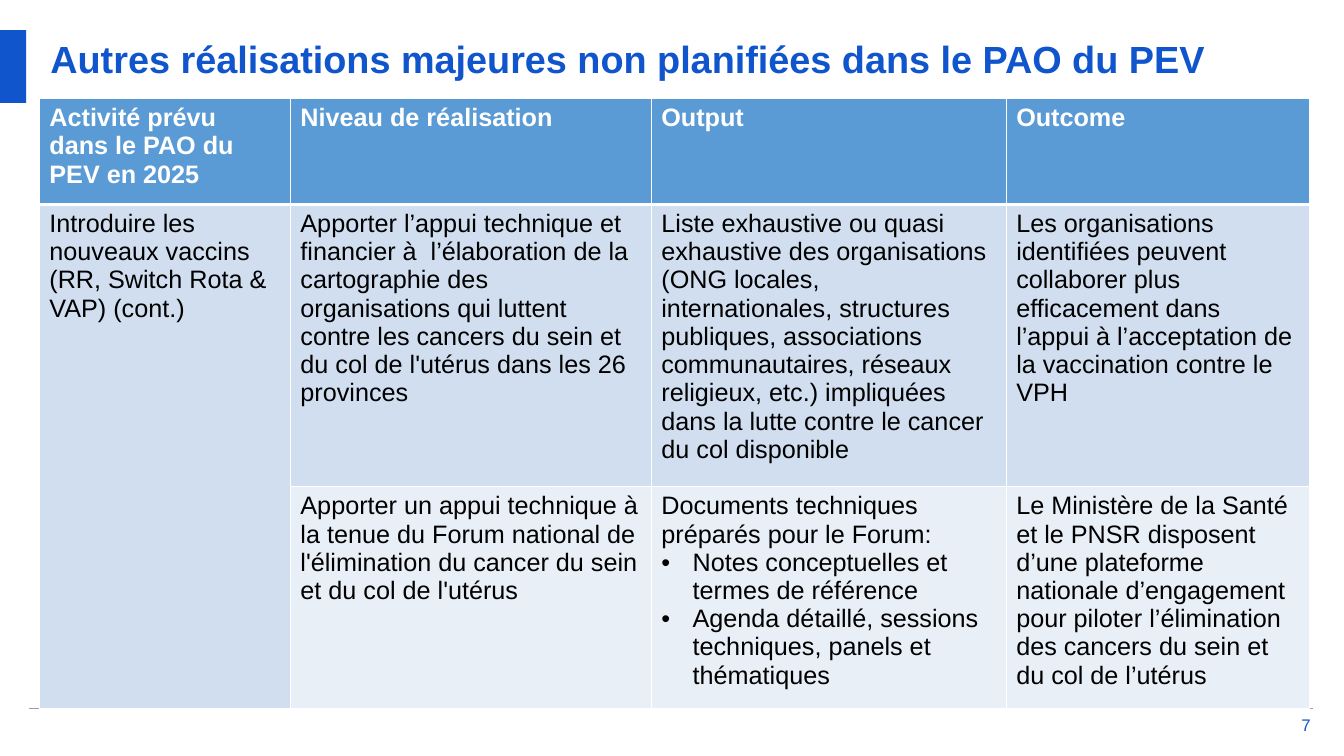
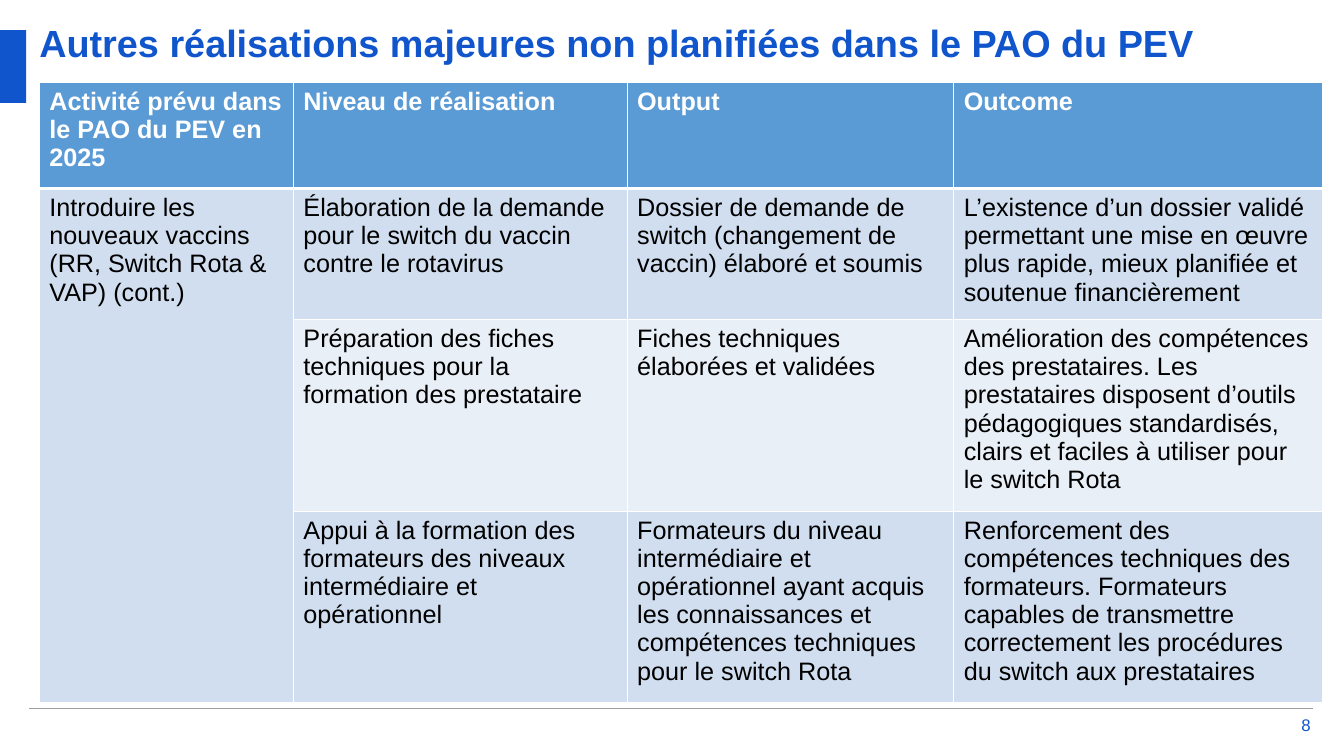
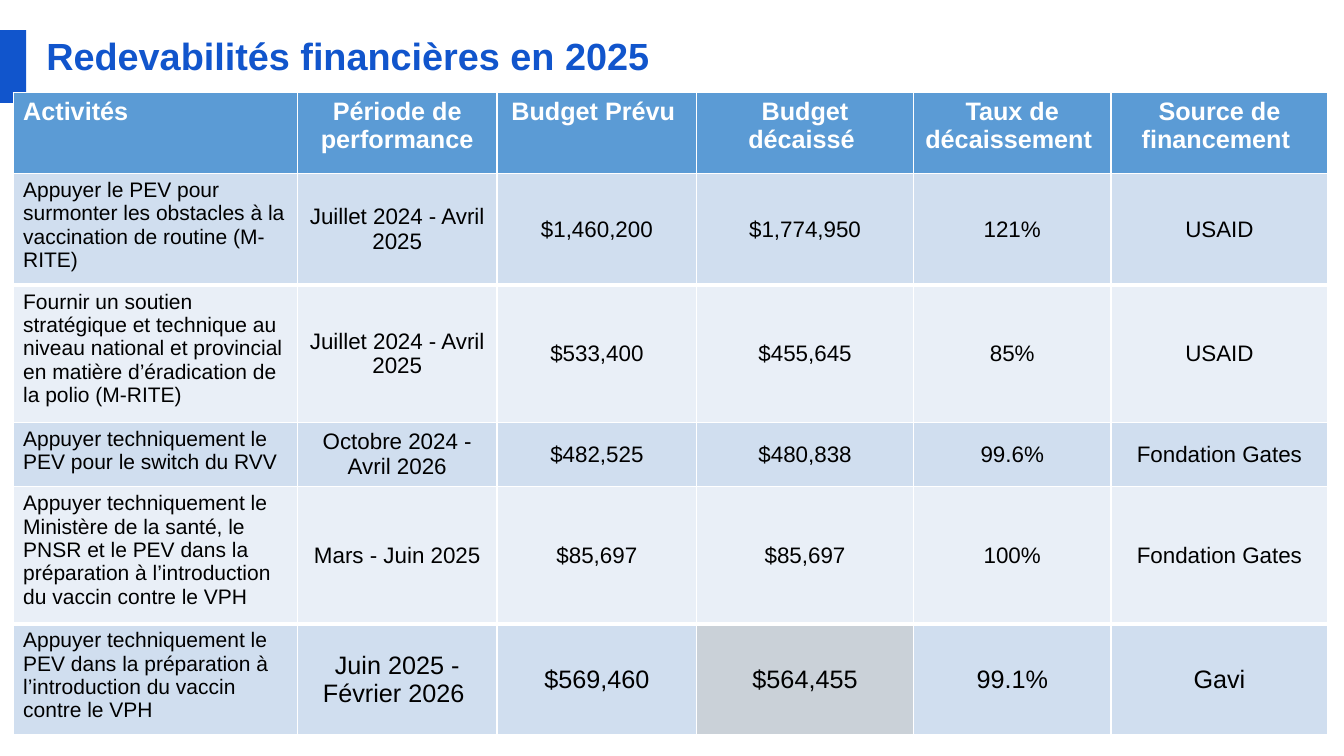
from lxml import etree
from pptx import Presentation
from pptx import util as u
from pptx.dml.color import RGBColor
from pptx.enum import shapes, text
from pptx.oxml import ns

PX = 9144  # 100 px to the inch
FONT = "Arial"
COLORS = {
    "accent": "1155CC",
    "rule": "9E9E9E",
    "header": "5B9BD5",
    "odd": "D0DEEF",
    "even": "E9EFF7",
    "flagged": "CAD1D8",
    "white": "FFFFFF",
    "black": "000000",
}
BULLET = "•"
INDENT = 31
TITLE_UNPLANNED = "Autres réalisations majeures non planifiées dans le PAO du PEV"
RESULT_HEADER = ["Activité prévu dans le PAO du PEV en 2025", "Niveau de réalisation",
                 "Output", "Outcome"]
ACTIVITY = "Introduire les nouveaux vaccins (RR, Switch Rota & VAP) (cont.)"

FORUM_ROWS = [
    ["Apporter l’appui technique et financier à  l’élaboration de la cartographie des "
     "organisations qui luttent contre les cancers du sein et du col de l'utérus dans les "
     "26 provinces",
     "Liste exhaustive ou quasi exhaustive des organisations (ONG locales, internationales, "
     "structures publiques, associations communautaires, réseaux religieux, etc.) impliquées "
     "dans la lutte contre le cancer du col disponible",
     "Les organisations identifiées peuvent collaborer plus efficacement dans l’appui à "
     "l’acceptation de la vaccination contre le VPH"],
    ["Apporter un appui technique à la tenue du Forum national de l'élimination du cancer du "
     "sein et du col de l'utérus",
     "Documents techniques préparés pour le Forum:\n"
     "•Notes conceptuelles et termes de référence\n"
     "•Agenda détaillé, sessions techniques, panels et thématiques",
     "Le Ministère de la Santé et le PNSR disposent d’une plateforme nationale d’engagement "
     "pour piloter l’élimination des cancers du sein et du col de l’utérus"],
]
SWITCH_ROWS = [
    ["Élaboration de la demande pour le switch du vaccin contre le rotavirus",
     "Dossier de demande de switch (changement de vaccin) élaboré et soumis",
     "L’existence d’un dossier validé permettant une mise en œuvre plus rapide, mieux "
     "planifiée et soutenue financièrement"],
    ["Préparation des fiches techniques pour la formation des prestataire",
     "Fiches techniques élaborées et validées",
     "Amélioration des compétences des prestataires. Les prestataires disposent d’outils "
     "pédagogiques standardisés, clairs et faciles à utiliser pour le switch Rota"],
    ["Appui à la formation des formateurs des niveaux intermédiaire et opérationnel",
     "Formateurs du niveau intermédiaire et opérationnel ayant acquis les connaissances et "
     "compétences techniques pour le switch Rota",
     "Renforcement des compétences techniques des formateurs. Formateurs capables de "
     "transmettre correctement les procédures du switch aux prestataires"],
]
BUDGET_ROWS = [
    ["Activités", "Période de performance", "Budget Prévu ", "Budget décaissé ",
     "Taux de décaissement ", "Source de financement "],
    ["Appuyer le PEV pour surmonter les obstacles à la vaccination de routine (M-RITE)",
     "Juillet 2024 - Avril 2025", "$1,460,200", "$1,774,950", "121%", "USAID"],
    ["Fournir un soutien stratégique et technique au niveau national et provincial en "
     "matière d’éradication de la polio (M-RITE)",
     "Juillet 2024 - Avril 2025", "$533,400", "$455,645", "85%", "USAID"],
    ["Appuyer techniquement le PEV pour le switch du RVV",
     "Octobre 2024 - Avril 2026", "$482,525", "$480,838", "99.6%", "Fondation Gates"],
    ["Appuyer techniquement le Ministère de la santé, le PNSR et le PEV dans la préparation "
     "à l’introduction du vaccin contre le VPH",
     "Mars - Juin 2025", "$85,697", "$85,697", "100%", "Fondation Gates"],
    ["Appuyer techniquement le PEV dans la préparation à l’introduction du vaccin contre le VPH",
     "Juin 2025 - Février 2026 ", "$569,460", "$564,455", "99.1%", "Gavi"],
]


def px(*lengths):
    return [u.Emu(length * PX) for length in lengths]


def rgb(name):
    return RGBColor.from_string(COLORS[name])


def add_span(para, words, size, color, bold=False):
    span = para.add_run()
    span.text = words
    span.font.name = FONT
    span.font.size = u.Pt(size)
    span.font.bold = bold
    span.font.color.rgb = rgb(color)


def add_label(page, box, words, size, bold=False, align=text.PP_ALIGN.LEFT,
              anchor=text.MSO_ANCHOR.TOP):
    frame = page.shapes.add_textbox(*px(*box)).text_frame
    frame.word_wrap = True
    frame.margin_left = frame.margin_top = frame.margin_right = frame.margin_bottom = 0
    frame.vertical_anchor = anchor
    frame.paragraphs[0].alignment = align
    add_span(frame.paragraphs[0], words, size, "accent", bold)


def add_page(deck, title, title_box):
    """Add a blank page with its title and the blue tab on the left edge."""
    page = deck.slides.add_slide(deck.slide_layouts[6])
    add_label(page, title_box, title, 27, bold=True)
    tab = page.shapes.add_shape(shapes.MSO_SHAPE.RECTANGLE, *px(0, 30, 26, 72))
    tab.shadow.inherit = False
    tab.fill.solid()
    tab.fill.fore_color.rgb = rgb("accent")
    tab.line.fill.background()
    return page


def add_footer(page, number):
    add_label(page, (1275, 710, 25, 18), str(number), 12,
              align=text.PP_ALIGN.RIGHT, anchor=text.MSO_ANCHOR.MIDDLE)
    rule = page.shapes.add_connector(shapes.MSO_CONNECTOR.STRAIGHT, *px(29, 703, 1302, 703))
    rule.line.color.rgb = rgb("rule")
    rule.line.width = u.Pt(1)
    etree.SubElement(rule._element.spPr, ns.qn("a:effectLst"))


def set_borders(cell, top, bottom):
    """Draw white cell edges, with the top and bottom widths in points."""
    properties = cell._tc.get_or_add_tcPr()
    for side, width in (("L", 1), ("R", 1), ("T", top), ("B", bottom)):
        edge = etree.SubElement(properties, ns.qn(f"a:ln{side}"), w=str(u.Pt(width)))
        fill = etree.SubElement(edge, ns.qn("a:solidFill"))
        etree.SubElement(fill, ns.qn("a:srgbClr"), val=COLORS["white"])


def set_bullet(para):
    properties = para._p.get_or_add_pPr()
    properties.set("marL", str(INDENT * PX))
    properties.set("indent", str(-INDENT * PX))
    etree.SubElement(properties, ns.qn("a:buFont"), typeface=FONT)
    etree.SubElement(properties, ns.qn("a:buChar"), char=BULLET)


def fill_cell(cell, words, size, is_header, centred):
    for index, line in enumerate(words.split("\n")):
        frame = cell.text_frame
        para = frame.add_paragraph() if index else frame.paragraphs[0]
        if line.startswith(BULLET):
            set_bullet(para)
        if centred:
            para.alignment = text.PP_ALIGN.CENTER
        add_span(para, line.lstrip(BULLET), size, "white" if is_header else "black", is_header)
    if centred and not is_header:
        cell.vertical_anchor = text.MSO_ANCHOR.MIDDLE


def add_grid(page, origin, widths, heights, rows, thick_after, size_of, centred=False,
             merge_first=False):
    """Place a banded table; thick_after lists rows with a heavy lower edge."""
    table = page.shapes.add_table(len(heights), len(widths),
                                  *px(*origin, sum(widths), sum(heights))).table
    table.horz_banding = False
    for column, width in zip(table.columns, widths):
        column.width = px(width)[0]
    for row, height in zip(table.rows, heights):
        row.height = px(height)[0]
    if merge_first:
        table.cell(1, 0).merge(table.cell(len(heights) - 1, 0))
    for r, row in enumerate(rows):
        band = "header" if r == 0 else "odd" if r % 2 else "even"
        for c, words in enumerate(row):
            cell = table.cell(r, c)
            if cell.is_spanned:
                continue
            set_borders(cell, *(3 if edge in thick_after else 1 for edge in (r - 1, r)))
            cell.fill.solid()
            cell.fill.fore_color.rgb = rgb(band)
            fill_cell(cell, words, size_of(r, c), r == 0, centred and c > 0)
    return table


def add_results_page(deck, number, title_box, origin, widths, heights, results):
    page = add_page(deck, TITLE_UNPLANNED, title_box)
    add_footer(page, number)
    rows = [RESULT_HEADER] + [[ACTIVITY] + result for result in results]
    add_grid(page, origin, widths, heights, rows, {0}, lambda r, c: 18, merge_first=True)


def budget_size(r, c):
    if r == 0:
        return 18
    if c == 0:
        return 15
    return 18 if r == len(BUDGET_ROWS) - 1 else 16


def add_budget_page(deck):
    page = add_page(deck, "Redevabilités financières en 2025", (46, 32, 1273, 73))
    table = add_grid(page, (13, 92), [282, 198, 198, 215, 196, 215],
                     [80, 111, 136, 64, 136, 111], BUDGET_ROWS, {1, 4, 5}, budget_size,
                     centred=True)
    table.cell(5, 3).fill.fore_color.rgb = rgb("flagged")


def main():
    deck = Presentation()
    deck.slide_width, deck.slide_height = px(1333, 750)
    add_results_page(deck, 7, (50, 35, 1233, 80), (39, 98), [249, 358, 352, 301],
                     [105, 262, 205], FORUM_ROWS)
    add_results_page(deck, 8, (39, 20, 1233, 48), (39, 82), [252, 331, 324, 366],
                     [105, 122, 178, 178], SWITCH_ROWS)
    add_budget_page(deck)
    deck.save("out.pptx")


if __name__ == "__main__":
    main()
